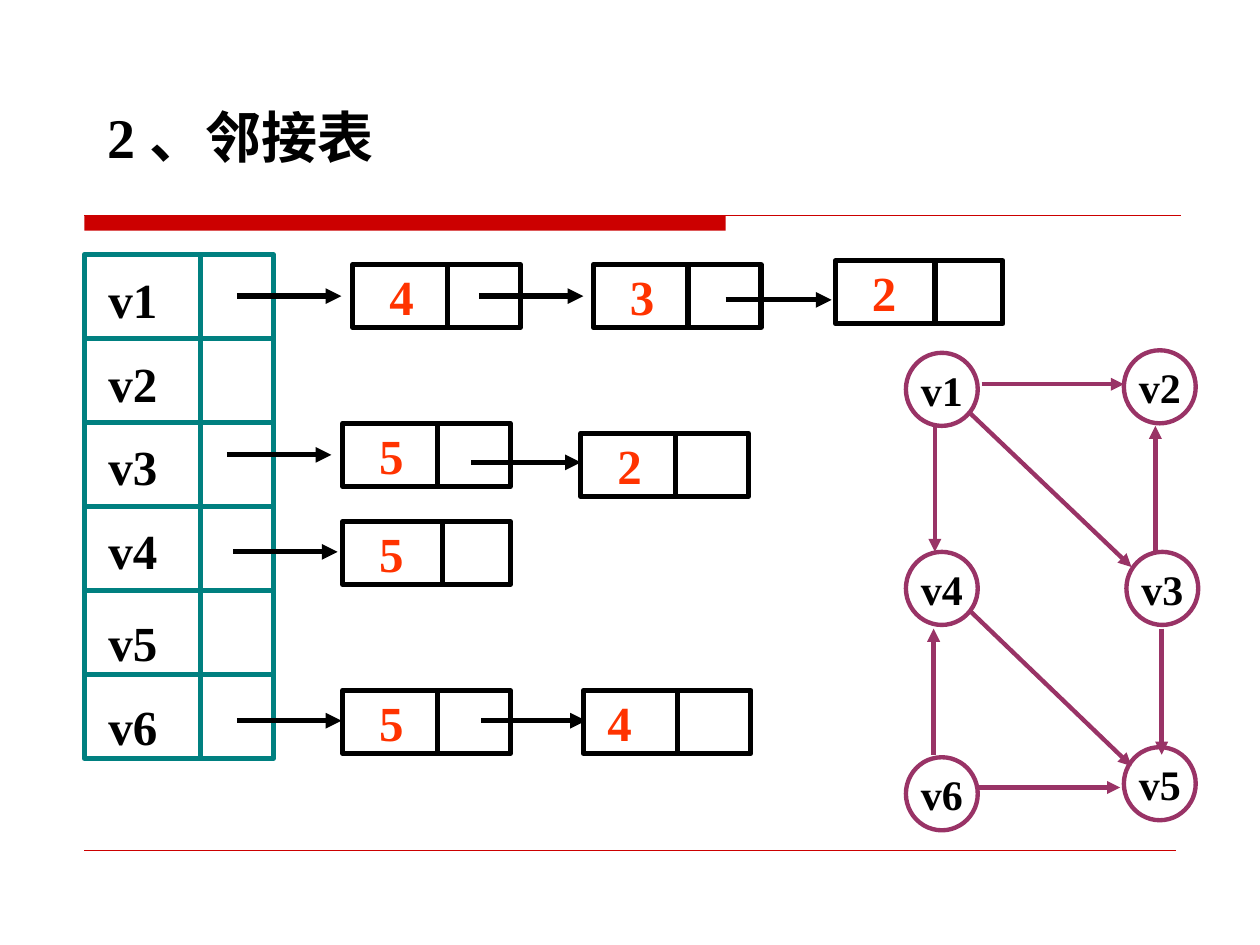
"""Build the adjacency list slide: vertex table, linked nodes and directed graph."""

from dataclasses import dataclass
from typing import NamedTuple

from lxml.etree import SubElement
from pptx import Presentation
from pptx.dml.color import RGBColor
from pptx.enum.shapes import MSO_CONNECTOR, MSO_SHAPE
from pptx.enum.text import MSO_ANCHOR, MSO_AUTO_SIZE, PP_ALIGN
from pptx.oxml.ns import qn
from pptx.util import Inches, Pt


@dataclass(frozen=True)
class Theme:
    """Colours, type sizes and line widths of the slide."""

    font: str = "Times New Roman"
    black: str = "000000"
    white: str = "FFFFFF"
    accent: str = "CC0000"
    table: str = "008080"
    value: str = "FF3300"
    graph: str = "993366"
    title_size: float = 32
    list_size: float = 28
    vertex_size: float = 24
    list_line: float = 3
    graph_line: float = 2.5


class Point(NamedTuple):
    """A place given in columns and rows."""

    column: float
    row: float


class Area(NamedTuple):
    """A rectangle given in columns and rows."""

    column: float
    row: float
    columns: float
    rows: float


class Node(NamedTuple):
    """A list node with its incoming arrow."""

    value: str
    corner: Point
    divider: float
    arrow_start: Point
    arrow_end: float
    indent: float = 2.9


class Vertex(NamedTuple):
    """A graph vertex."""

    name: str
    corner: Point


class Edge(NamedTuple):
    """A directed graph edge."""

    start: Point
    end: Point


THEME = Theme()
SLIDE_COLUMNS, SLIDE_ROWS = 100, 75
TABLE = Area(6.7, 20.2, 15, 40)
TABLE_DIVIDER = 15.9
NODE_SIZE = (13.3, 5)
VERTEX_SIZE = (5.7, 5.8)
LABELS = [f"v{number}" for number in range(1, 7)]
LABEL_GAPS = [0, 9.7, 9.7, 9.7, 15, 10]
NODES = [
    Node("4", Point(28, 21), 7.5, Point(18.8, 23.5), 27.1),
    Node("3", Point(47.1, 21), 7.5, Point(38, 23.5), 46.3),
    Node("2", Point(66.3, 20.7), 7.9, Point(57.6, 23.8), 66),
    Node("5", Point(27.2, 33.6), 7.5, Point(18, 36.1), 26.3),
    Node("2", Point(46.1, 34.4), 7.5, Point(37.4, 36.7), 46.1),
    Node("5", Point(27.2, 41.4), 7.9, Point(18.5, 43.8), 26.8),
    Node("5", Point(27.2, 54.8), 7.5, Point(18.8, 57.2), 27.1),
    Node("4", Point(46.3, 54.8), 7.5, Point(38.2, 57.2), 46.5, 1.9),
]
VERTICES = [
    Vertex("v1", Point(71.9, 28)),
    Vertex("v2", Point(89.2, 27.8)),
    Vertex("v3", Point(89.4, 43.8)),
    Vertex("v4", Point(71.9, 43.8)),
    Vertex("v5", Point(89.2, 59.3)),
    Vertex("v6", Point(71.9, 60.1)),
]
EDGES = [
    Edge(Point(77.9, 30.5), Point(89.2, 30.5)),
    Edge(Point(74.2, 33.8), Point(74.2, 43.8)),
    Edge(Point(77, 32.8), Point(89.8, 45)),
    Edge(Point(91.7, 43.8), Point(91.7, 33.8)),
    Edge(Point(92.2, 49.9), Point(92.2, 59.9)),
    Edge(Point(77, 48.5), Point(89.8, 60.8)),
    Edge(Point(74.1, 59.9), Point(74.1, 49.9)),
    Edge(Point(77.6, 62.5), Point(88.9, 62.5)),
]


def grid(*cells: float) -> list:
    """Turn counts of grid cells into lengths."""
    return [Inches(cell / 10) for cell in cells]


def apply(target, values: dict) -> None:
    """Set each named attribute of the target."""
    for name, value in values.items():
        setattr(target, name, value)


def write(box, lines: list, size: float, color: str, frame: dict,
          gaps: list = (0,), **para_format) -> None:
    """Fill a shape with formatted paragraphs."""
    apply(box.text_frame, frame)
    box.text_frame.text = "\n".join(lines)
    for para, gap in zip(box.text_frame.paragraphs, gaps):
        apply(para, {"space_before": Pt(gap), **para_format})
        for span in para.runs:
            apply(span.font, {"name": THEME.font, "size": Pt(size), "bold": True})
            span.font.color.rgb = RGBColor.from_string(color)


def draw_box(page, preset, area: Area, fill: str, line: str = "", width: float = 0):
    """Draw a filled shape, outlined when a line colour is given."""
    box = page.shapes.add_shape(preset, *grid(*area))
    box.shadow.inherit = False
    box.fill.solid()
    box.fill.fore_color.rgb = RGBColor.from_string(fill)
    if line:
        box.line.color.rgb = RGBColor.from_string(line)
        box.line.width = Pt(width)
    else:
        box.line.fill.background()
    return box


def draw_line(page, start: Point, end: Point, color: str, width: float,
              arrow: bool = False) -> None:
    """Draw a straight line, with an arrowhead at its end if asked."""
    line = page.shapes.add_connector(MSO_CONNECTOR.STRAIGHT, *grid(*start, *end))
    line.line.color.rgb = RGBColor.from_string(color)
    line.line.width = Pt(width)
    properties = line.element.spPr
    if arrow:
        SubElement(properties.find(qn("a:ln")), qn("a:tailEnd"), type="triangle")
    SubElement(properties, qn("a:effectLst"))


def draw_heading(page) -> None:
    """Draw the rules and write the title."""
    draw_box(page, MSO_SHAPE.RECTANGLE, Area(6.7, 17.1, 50.9, 1.2), THEME.accent)
    draw_line(page, Point(6.7, 17.1), Point(93.7, 17.1), THEME.accent, 0.75)
    draw_line(page, Point(6.7, 67.5), Point(93.3, 67.5), THEME.accent, 0.25)
    title = page.shapes.title
    places = grid(7.5, 7.6, 59.1, 6.4)
    apply(title, dict(zip(("left", "top", "width", "height"), places)))
    frame = {"vertical_anchor": MSO_ANCHOR.TOP, "auto_size": MSO_AUTO_SIZE.NONE}
    write(title, ["2 、邻接表"], THEME.title_size, THEME.black, frame,
          alignment=PP_ALIGN.LEFT)


def draw_table(page) -> None:
    """Draw the vertex column with its pointer cells."""
    box = draw_box(page, MSO_SHAPE.RECTANGLE, TABLE, THEME.white,
                   THEME.table, THEME.list_line)
    left, top = grid(1.9, 0.6)
    frame = {"margin_left": left, "margin_top": top,
             "vertical_anchor": MSO_ANCHOR.TOP, "word_wrap": True}
    write(box, LABELS, THEME.list_size, THEME.black, frame, LABEL_GAPS,
          alignment=PP_ALIGN.LEFT, line_spacing=Pt(38))
    right, bottom = TABLE.column + TABLE.columns, TABLE.row + TABLE.rows
    for index in range(1, len(LABELS)):
        row = TABLE.row + index * TABLE.rows / len(LABELS)
        draw_line(page, Point(TABLE.column, row), Point(right, row),
                  THEME.table, THEME.list_line)
    draw_line(page, Point(TABLE_DIVIDER, TABLE.row), Point(TABLE_DIVIDER, bottom),
              THEME.table, THEME.list_line)


def draw_node(page, node: Node) -> None:
    """Draw a two-cell list node and the arrow that leads to it."""
    draw_line(page, node.arrow_start, Point(node.arrow_end, node.arrow_start.row),
              THEME.black, THEME.list_line, arrow=True)
    box = draw_box(page, MSO_SHAPE.RECTANGLE, Area(*node.corner, *NODE_SIZE),
                   THEME.white, THEME.black, THEME.list_line)
    frame = {"margin_left": grid(node.indent)[0],
             "vertical_anchor": MSO_ANCHOR.MIDDLE, "word_wrap": True}
    write(box, [node.value], THEME.list_size, THEME.value, frame,
          alignment=PP_ALIGN.LEFT)
    column, row = node.corner.column + node.divider, node.corner.row
    draw_line(page, Point(column, row), Point(column, row + NODE_SIZE[1]),
              THEME.black, THEME.list_line)


def draw_vertex(page, vertex: Vertex) -> None:
    """Draw a named graph vertex."""
    box = draw_box(page, MSO_SHAPE.OVAL, Area(*vertex.corner, *VERTEX_SIZE),
                   THEME.white, THEME.graph, THEME.graph_line)
    frame = {"vertical_anchor": MSO_ANCHOR.MIDDLE, "word_wrap": False}
    write(box, [vertex.name], THEME.vertex_size, THEME.black, frame,
          alignment=PP_ALIGN.CENTER)


def main() -> None:
    """Build and save the deck."""
    deck = Presentation()
    deck.slide_width, deck.slide_height = grid(SLIDE_COLUMNS, SLIDE_ROWS)
    page = deck.slides.add_slide(deck.slide_layouts[5])
    draw_heading(page)
    draw_table(page)
    for node in NODES:
        draw_node(page, node)
    for vertex in VERTICES:
        draw_vertex(page, vertex)
    for edge in EDGES:
        draw_line(page, *edge, THEME.graph, THEME.graph_line, arrow=True)
    deck.save("out.pptx")


if __name__ == "__main__":
    main()
